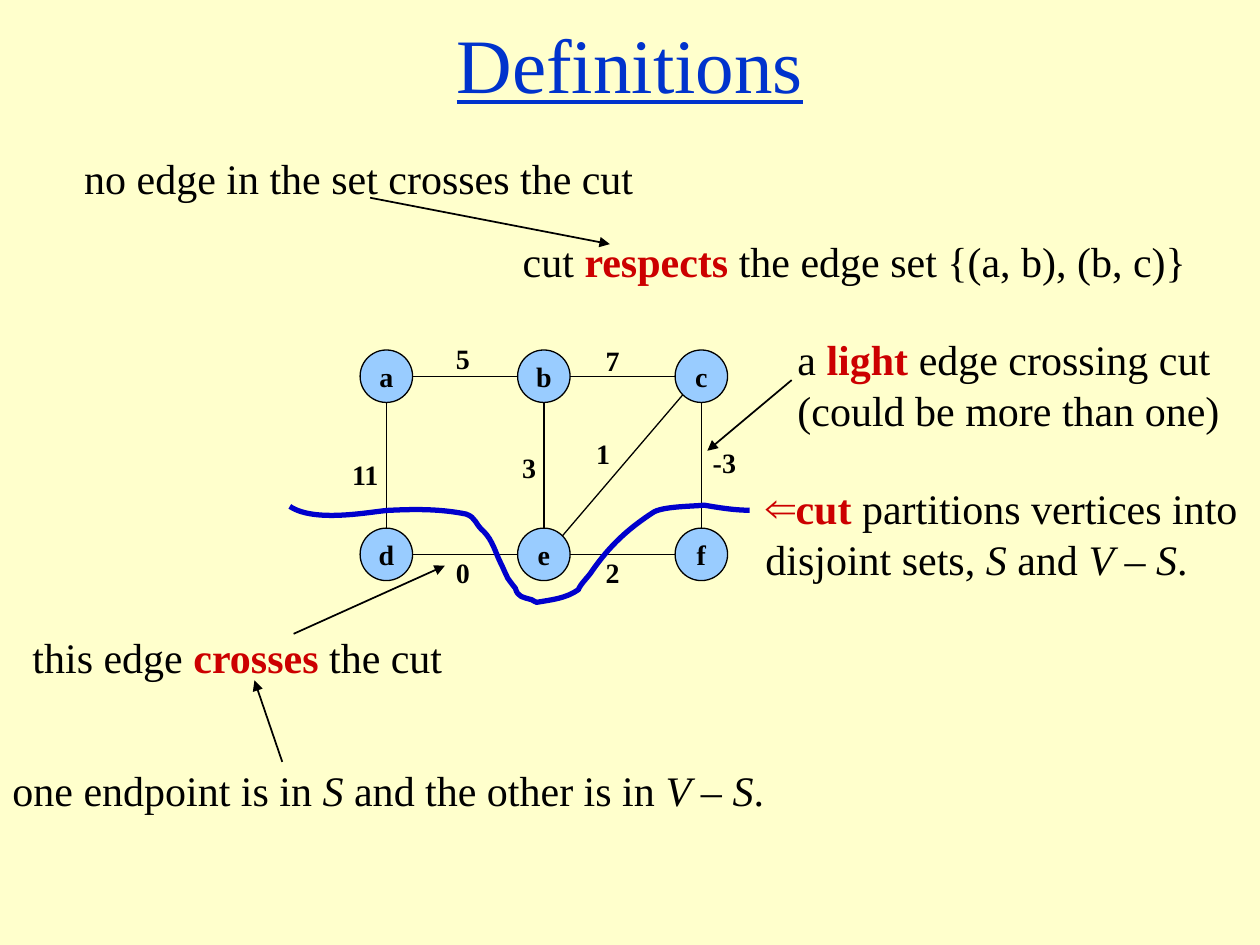
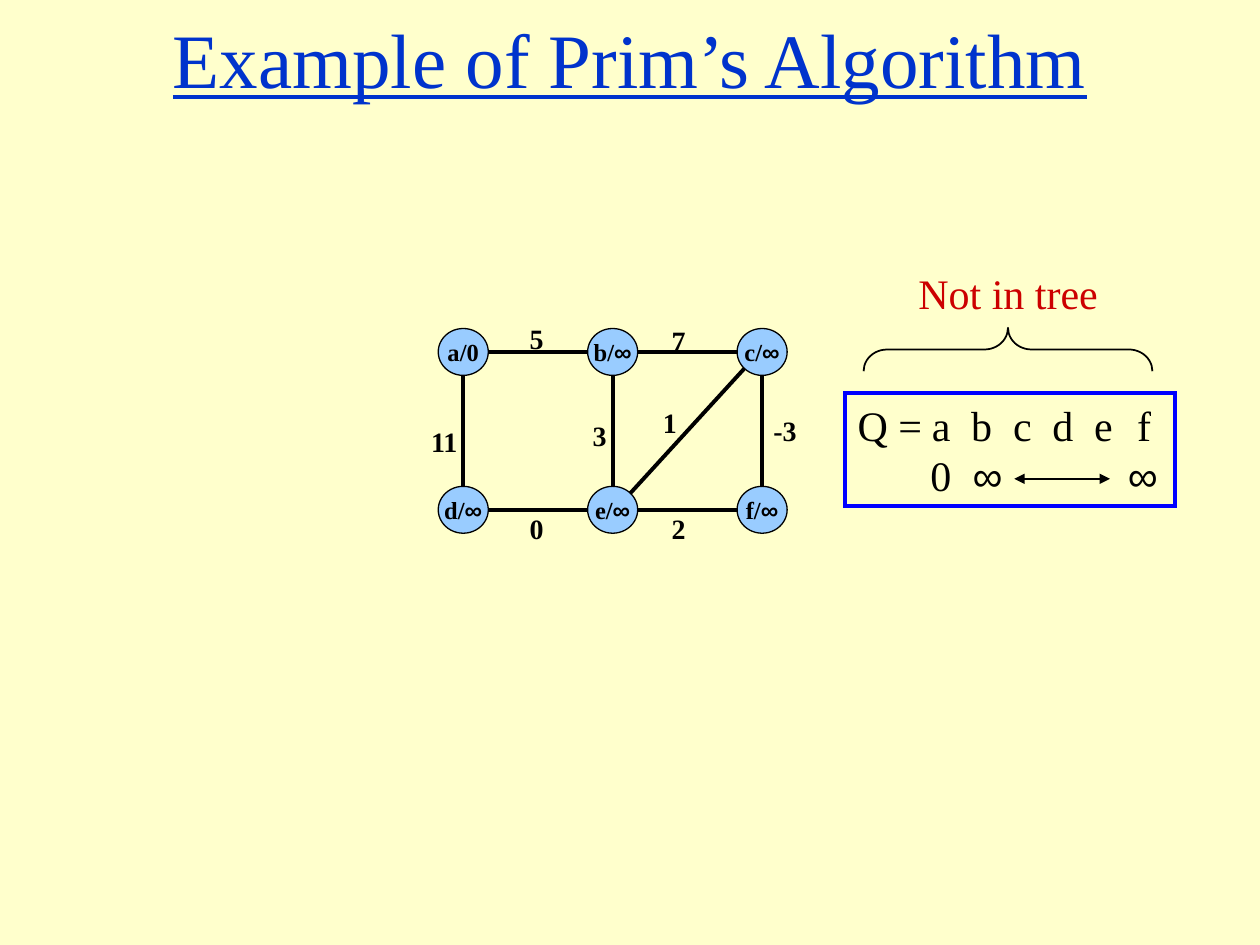
import math

import lxml.etree
import pptx
import pptx.dml.color
import pptx.enum.shapes
import pptx.enum.text
import pptx.oxml.ns
import pptx.util

Pt = pptx.util.Pt
qn = pptx.oxml.ns.qn
SHAPE = pptx.enum.shapes.MSO_SHAPE
ALIGN = pptx.enum.text.PP_ALIGN
FIT = pptx.enum.text.MSO_AUTO_SIZE
MIDDLE = pptx.enum.text.MSO_ANCHOR.MIDDLE

CREAM, BLACK, RED, SKY = "FFFFCC", "000000", "CC0000", "99CCFF"
TITLE_BLUE, CUT_BLUE, BOX_BLUE = "0033CC", "0000CC", "0000FF"
SERIF, SANS = "Times New Roman", "Arial"

# Column and row of each vertex
GRID = {"a": (0, 0), "b": (1, 0), "c": (2, 0),
        "d": (0, 1), "e": (1, 1), "f": (2, 1)}
# Ends, weight, and place of the weight in grid steps
EDGES = [("ab", "5", 0.53, -0.08), ("bc", "7", 1.48, -0.07),
         ("ad", "11", -0.13, 0.57), ("be", "3", 0.95, 0.53),
         ("ec", "1", 1.42, 0.45), ("cf", "-3", 2.16, 0.5),
         ("de", "0", 0.53, 1.12), ("ef", "2", 1.48, 1.12)]
WIDTHS = {"11": 30.4, "-3": 28.5}

# Start of the cut, then two controls and an end for each curve
CUT_START = (165.6, 289.4)
CUT = [
    ((180.7, 299.5), (215.3, 291.6), (223.2, 291.6)),
    ((238.3, 290.9), (252, 290.9), (266.4, 293.8)),
    ((272.2, 295.9), (271.4, 299.5), (276.5, 303.8)),
    ((281.5, 308.9), (283, 315.4), (285.8, 321.1)),
    ((287.3, 324), (288.7, 327.6), (290.2, 330.5)),
    ((291.6, 332.6), (294.5, 336.2), (294.5, 336.2)),
    ((295.9, 341.3), (298.8, 341.3), (303.8, 342.7)),
    ((304.6, 343.4), (306.7, 344.2), (306.7, 344.2)),
    ((315.4, 342.7), (323.3, 342), (330.5, 337)),
    ((331.9, 333.4), (336.2, 329.8), (338.4, 326.2)),
    ((348.5, 311.8), (358.6, 302.4), (373, 293)),
    ((378, 289.4), (395.3, 289.4), (402.5, 288.7)),
    ((411.1, 290.2), (419.8, 291.6), (428.4, 291.6)),
]


def color(code):
    return pptx.dml.color.RGBColor.from_string(code)


def child(parent, tag, **attrs):
    return lxml.etree.SubElement(parent, qn(tag), attrs)


def stroke(shape, code, width):
    shape.line.color.rgb = color(code)
    shape.line.width = Pt(width)


def add_run(para, text, size, flags=""):
    """Flags: b bold, i italic, r red, s sans."""
    run = para.add_run()
    run.text = text
    font = run.font
    font.size = Pt(size)
    font.name = SANS if "s" in flags else SERIF
    font.bold = "b" in flags
    font.italic = "i" in flags
    font.color.rgb = color(RED if "r" in flags else BLACK)
    return run


def fill_text(shape, lines, size, align=ALIGN.LEFT, wrap=False):
    """Write lines, each a list of (text, flags)."""
    frame = shape.text_frame
    frame.word_wrap = wrap
    for i, line in enumerate(lines):
        para = frame.add_paragraph() if i else frame.paragraphs[0]
        para.alignment = align
        for text, flags in line:
            add_run(para, text, size, flags)


def add_text(slide, at, lines, size=24):
    box = slide.shapes.add_textbox(*map(Pt, at))
    fill_text(box, lines, size)
    box.text_frame.auto_size = FIT.SHAPE_TO_FIT_TEXT
    return box


def add_line(slide, start, end, width, head=False, tail=False):
    kind = pptx.enum.shapes.MSO_CONNECTOR.STRAIGHT
    line = slide.shapes.add_connector(kind, *map(Pt, (*start, *end)))
    stroke(line, BLACK, width)
    props = line._element.spPr
    for tag, shown in (("a:headEnd", head), ("a:tailEnd", tail)):
        if shown:
            child(props.find(qn("a:ln")), tag, type="triangle")
    child(props, "a:effectLst")


def add_shape(slide, kind, at, code, width):
    """Add an unfilled outline."""
    shape = slide.shapes.add_shape(kind, *map(Pt, at))
    shape.shadow.inherit = False
    shape.fill.background()
    stroke(shape, code, width)
    return shape


def add_node(slide, at, runs, size):
    node = add_shape(slide, SHAPE.OVAL, at, BLACK, 0.75)
    node.fill.solid()
    node.fill.fore_color.rgb = color(SKY)
    fill_text(node, [runs], size, ALIGN.CENTER)
    node.text_frame.vertical_anchor = MIDDLE


def add_graph(slide, origin, step, node, names, size, width):
    """Draw the six-vertex graph; names maps a vertex to its runs."""
    def corner(col, row):
        return origin[0] + col * step[0], origin[1] + row * step[1]

    def rim(here, there):
        """Point on the rim of one vertex that faces another."""
        signs = [(b > a) - (b < a) for a, b in zip(GRID[here], GRID[there])]
        reach = 0.5 / math.hypot(*signs)
        return [p + s * (0.5 + sign * reach)
                for p, s, sign in zip(corner(*GRID[here]), node, signs)]

    for name, place in GRID.items():
        add_node(slide, (*corner(*place), *node), names[name], size)
    for (start, end), weight, col, row in EDGES:
        add_line(slide, rim(start, end), rim(end, start), width)
        at = (*corner(col, row), WIDTHS.get(weight, 22.4), 26.6)
        add_text(slide, at, [[(weight, "b")]], 16)


def add_curve(slide, start, parts, code, width):
    """Draw joined cubic curves: straight pieces, then bent by controls."""
    pen = slide.shapes.build_freeform(*map(Pt, start))
    ends = [tuple(map(Pt, end)) for _, _, end in parts]
    pen.add_line_segments(ends, close=False)
    curve = pen.convert_to_shape()
    curve.shadow.inherit = False
    curve.fill.background()
    stroke(curve, code, width)
    pieces = list(curve._element.iter(qn("a:lnTo")))
    for piece, (one, two, _) in zip(pieces, parts):
        piece.tag = qn("a:cubicBezTo")
        for i, (x, y) in enumerate((one, two)):
            spot = child(piece, "a:pt", x=str(Pt(x) - curve.left),
                         y=str(Pt(y) - curve.top))
            piece.insert(i, spot)


def set_bullet(para, sign):
    props = para._p.get_or_add_pPr()
    props.set("marL", "0")
    props.set("indent", "0")
    child(child(props, "a:buClr"), "a:srgbClr", val=RED)
    child(props, "a:buFont", typeface=SERIF)
    child(props, "a:buChar", char=sign)


def set_tabs(para, stops):
    tabs = child(para._p.get_or_add_pPr(), "a:tabLst")
    for stop in stops:
        child(tabs, "a:tab", pos=str(int(Pt(stop))), algn="ctr")


def new_slide(deck, text, at):
    slide = deck.slides.add_slide(deck.slide_layouts[5])
    title = slide.shapes.title
    title.left, title.top, title.width, title.height = map(Pt, at)
    fill_text(title, [[]], 44, ALIGN.CENTER, wrap=True)
    run = add_run(title.text_frame.paragraphs[0], text, 44)
    run.font.underline = True
    run.font.color.rgb = color(TITLE_BLUE)
    title.text_frame.vertical_anchor = MIDDLE
    title.text_frame.auto_size = FIT.NONE
    return slide


def add_terms(deck):
    slide = new_slide(deck, "Definitions", (0, 0, 720, 72))
    names = {name: [(name, "b")] for name in GRID}
    add_graph(slide, (205.8, 200), (90, 101.8), (30, 30), names, 16, 0.75)
    add_curve(slide, CUT_START, CUT, CUT_BLUE, 3)

    notes = [
        ((41, 83.8, 328.5, 36),
         [[("no edge in the set crosses the cut", "")]]),
        ((291.6, 131, 394, 36),
         [[("cut ", ""), ("respects", "br"),
           (" the edge set {(a, b), (b, c)}", "")]]),
        ((448.6, 187.2, 256, 64.8),
         [[("a ", ""), ("light", "br"), (" edge crossing cut", "")],
          [("(could be more than one)", "")]]),
        ((11.5, 357.1, 249.4, 36),
         [[("this edge ", ""), ("crosses", "br"), (" the cut", "")]]),
        ((0, 433.4, 444.4, 36),
         [[("one endpoint is in ", ""), ("S", "i"),
           (" and the other is in ", ""), ("V – S", "i"), (".", "")]]),
    ]
    for at, lines in notes:
        add_text(slide, at, lines)

    cut = add_text(slide, (430.3, 272.4, 287, 64.8), [
        [("cut", "br"), (" partitions vertices into", "")],
        [("disjoint sets, ", ""), ("S", "i"), (" and ", ""), ("V", "i"),
         (" – ", ""), ("S", "i"), (".", "")]])
    set_bullet(cut.text_frame.paragraphs[0], "⇐")

    for start, end in [((211.5, 113), (348.5, 139.5)),
                       ((452.4, 217.2), (404.2, 257.6)),
                       ((167.8, 362.2), (254.2, 323.3)),
                       ((161.3, 435.4), (145.4, 388.8))]:
        add_line(slide, start, end, 1, tail=True)
    dot = (260, 375)
    add_line(slide, dot, dot, 0.75)


def add_prim(deck):
    slide = new_slide(deck, "Example of Prim’s Algorithm", (54, 0, 612, 66.2))
    names = {name: [(name + "/", "b"), ("∞", "bs")] for name in GRID}
    names["a"] = [("a/0", "b")]
    add_graph(slide, (250.4, 187.7), (85.4, 90.2), (28.6, 26.8),
              names, 14, 2.25)

    queue = add_shape(slide, SHAPE.RECTANGLE, (483, 224.6, 188.6, 64.8),
                      BOX_BLUE, 2.25)
    child(queue._element.spPr.find(qn("a:ln")), "a:miter", lim="800000")
    fill_text(queue, [[("Q =\ta\tb\tc\td\te\tf", "")],
                      [("\t0", ""), ("\t∞\t∞", "s")]], 24, wrap=True)
    heads, keys = queue.text_frame.paragraphs
    set_tabs(heads, [47.7 + 23.2 * i for i in range(6)])
    set_tabs(keys, [47.6, 74.2, 163])
    add_line(slide, (579.6, 273.6), (634.3, 273.6), 1, head=True, tail=True)

    brace = add_shape(slide, SHAPE.LEFT_BRACE, (563.6, 117.2, 24.8, 165),
                      BLACK, 1)
    brace.rotation = 90
    brace.adjustments[0] = 0.54
    add_text(slide, (517.7, 149.3, 118, 36), [[("Not in tree", "r")]])


def main():
    deck = pptx.Presentation()
    deck.slide_width, deck.slide_height = Pt(720), Pt(540)
    back = deck.slide_master.background.fill
    back.solid()
    back.fore_color.rgb = color(CREAM)
    add_terms(deck)
    add_prim(deck)
    deck.save("out.pptx")


if __name__ == "__main__":
    main()
